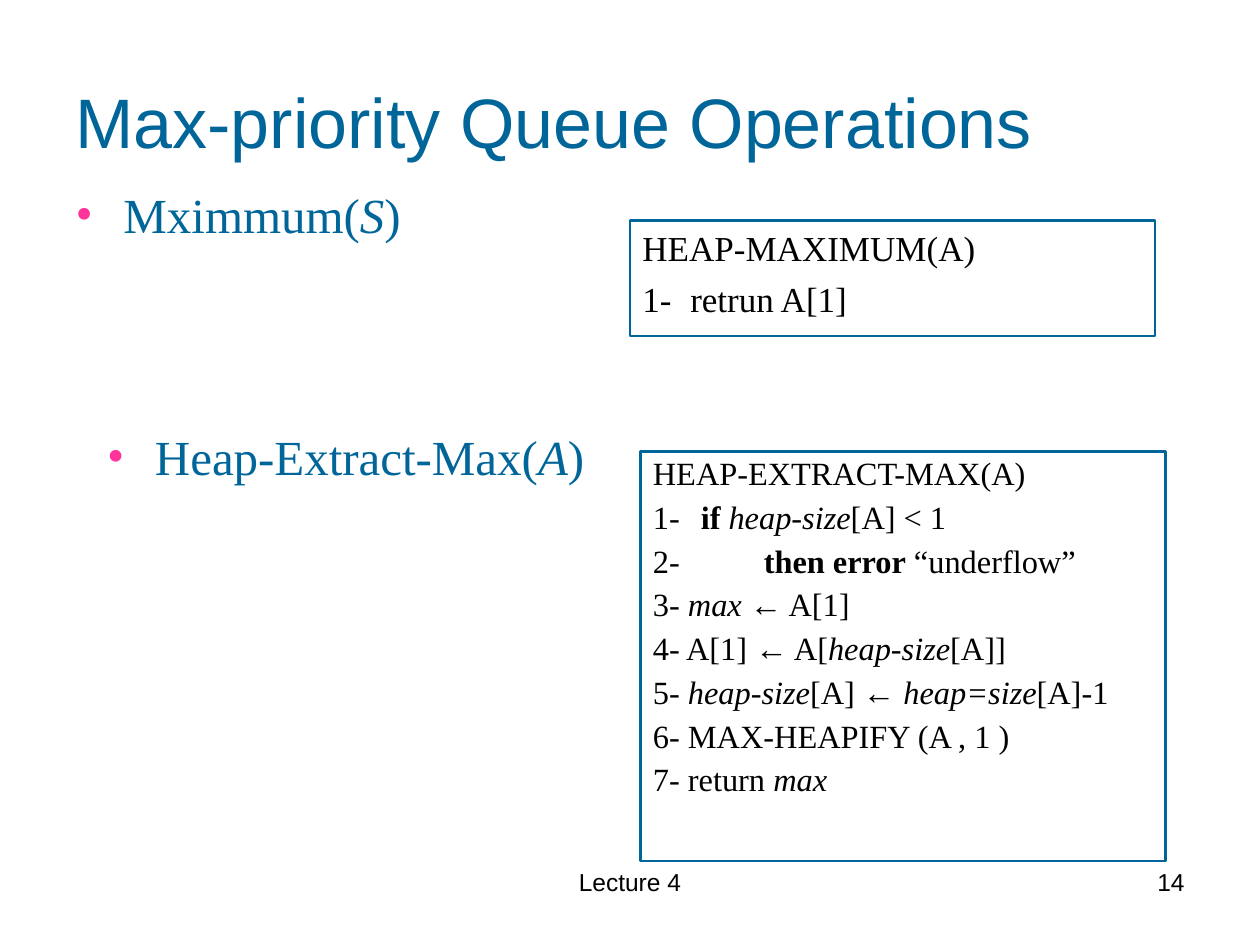
"""Build the lecture slide on max-priority queue operations."""
import pptx
import pptx.dml.color
import pptx.enum.shapes
import pptx.enum.text
import pptx.util
from lxml import etree
from pptx.oxml.ns import qn

BLUE = pptx.dml.color.RGBColor(0x00, 0x66, 0x99)
PINK = pptx.dml.color.RGBColor(0xFF, 0x33, 0x99)
BLACK = pptx.dml.color.RGBColor(0, 0, 0)
COLS, ROWS = 120, 90
WIDE, HIGH = pptx.util.Inches(10), pptx.util.Inches(7.5)
HANG = pptx.util.Inches(0.38)
SERIF, SANS = "Times New Roman", "Arial"
ALIGN = pptx.enum.text.PP_ALIGN

PEAK = ["HEAP-MAXIMUM(A)", "1- \tretrun A[1]"]
POP = [
    "HEAP-EXTRACT-MAX(A)",
    ["1- \t", ("if ", "b"), ("heap-size", "i"), "[A] < 1"],
    ["2- \t\t", ("then error", "b"), " “underflow”"],
    ["3- ", ("max", "i"), " ← A[1]"],
    ["4- A[1] ← A[", ("heap-size", "i"), "[A]]"],
    ["5- ", ("heap-size", "i"), "[A] ← ", ("heap=size", "i"), "[A]-1"],
    "6- MAX-HEAPIFY (A , 1 )",
    ["7- return ", ("max", "i")],
]


def cell(col, row, cols, rows):
    """Turn grid units into left, top, width and height."""
    return (int(WIDE * col / COLS), int(HIGH * row / ROWS),
            int(WIDE * cols / COLS), int(HIGH * rows / ROWS))


def place(shape, spot):
    """Move a placeholder to a spot on the grid."""
    shape.left, shape.top, shape.width, shape.height = cell(*spot)


def indent(para, mark, tabs):
    """Give a paragraph a hanging indent, a bullet or none, and tab stops."""
    props = para._p.get_or_add_pPr()
    props.set("marL", str(HANG))
    props.set("indent", str(-HANG))
    if mark:
        tint = etree.SubElement(props, qn("a:buClr"))
        etree.SubElement(tint, qn("a:srgbClr"), val=str(PINK))
        etree.SubElement(props, qn("a:buFont"), typeface=SERIF)
        etree.SubElement(props, qn("a:buChar"), char=mark)
    else:
        etree.SubElement(props, qn("a:buNone"))
    stops = etree.SubElement(props, qn("a:tabLst"))
    for inch in tabs:
        etree.SubElement(stops, qn("a:tab"),
                         pos=str(pptx.util.Inches(inch)), algn="l")


def write(shape, lines, size, font=SERIF, color=BLACK, align=ALIGN.LEFT,
          hang=False, mark=None, tabs=range(8), gap=0, lead=None, anchor="TOP"):
    """Fill a shape with lines, each a string or a list of styled runs."""
    frame = shape.text_frame
    frame.word_wrap = True
    frame.auto_size = pptx.enum.text.MSO_AUTO_SIZE.NONE
    frame.vertical_anchor = pptx.enum.text.MSO_ANCHOR[anchor]
    for num, line in enumerate(lines):
        para = frame.add_paragraph() if num else frame.paragraphs[0]
        if hang:
            indent(para, mark, tabs)
        para.alignment = align
        para.space_before = pptx.util.Pt(gap if num else 0)
        if lead:
            para.line_spacing = lead
        for part in [line] if isinstance(line, str) else line:
            words, style = (part, "") if isinstance(part, str) else part
            run = para.add_run()
            run.text = words
            run.font.name = font
            run.font.size = pptx.util.Pt(size)
            run.font.color.rgb = color
            run.font.bold = style == "b"
            run.font.italic = style == "i"


def bullet(shape, spot, name, arg):
    """Set one operation as a bulleted heading."""
    place(shape, spot)
    write(shape, [[name + "(", (arg, "i"), ")"]], 28, color=BLUE,
          align=ALIGN.JUSTIFY, hang=True, mark="•", tabs=range(1, 9))


def panel(slide, spot, lines, size, lead=None):
    """Draw an outlined box of pseudocode."""
    kind = pptx.enum.shapes.MSO_SHAPE.RECTANGLE
    box = slide.shapes.add_shape(kind, *cell(*spot))
    box.shadow.inherit = False
    box.fill.background()
    box.line.color.rgb = BLUE
    box.line.width = pptx.util.Pt(1.5)
    write(box, lines, size, hang=True, gap=5, lead=lead)


def note(slide, spot, words, align):
    """Add a line of footer text."""
    box = slide.shapes.add_textbox(*cell(*spot))
    write(box, [words], 14, font=SANS, align=align)


def main():
    """Build and save the slide."""
    deck = pptx.Presentation()
    deck.slide_width, deck.slide_height = WIDE, HIGH
    slide = deck.slides.add_slide(deck.slide_layouts[3])
    head, first, second = slide.placeholders
    place(head, (6, 4, 108, 15))
    write(head, ["Max-priority Queue Operations"], 40, font=SANS,
          color=BLUE, anchor="MIDDLE")
    bullet(first, (6, 17, 49, 9), "Mximmum", "S")
    panel(slide, (60, 21, 50, 11), PEAK, 20)
    bullet(second, (9, 40, 49, 9), "Heap-Extract-Max", "A")
    panel(slide, (61, 43, 50, 39), POP, 18.5, lead=0.9)
    note(slide, (41, 82, 38, 6.25), "Lecture 4", ALIGN.CENTER)
    note(slide, (86, 82, 28, 6.25), "14", ALIGN.RIGHT)
    deck.save("out.pptx")


if __name__ == "__main__":
    main()
